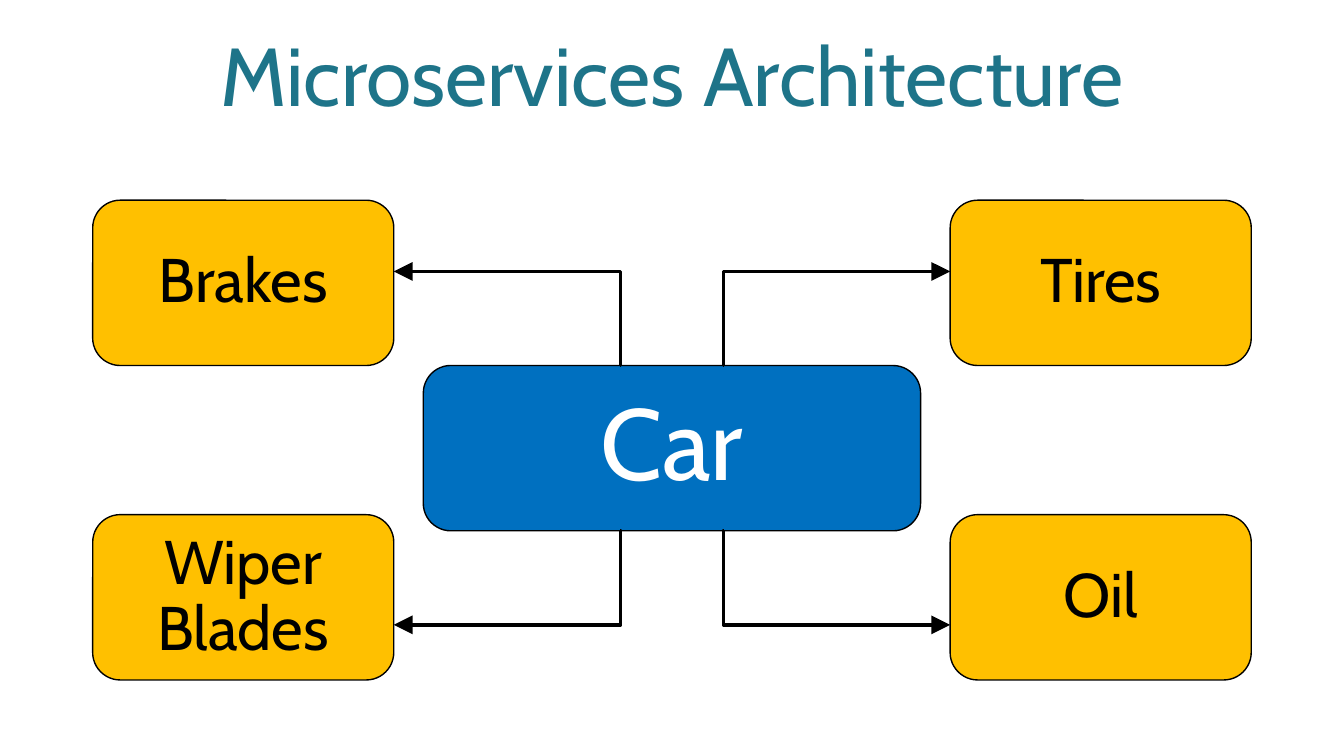
from lxml.etree import SubElement
from pptx import Presentation
from pptx.dml.color import RGBColor
from pptx.enum.shapes import MSO_CONNECTOR, MSO_SHAPE
from pptx.enum.text import MSO_ANCHOR, MSO_AUTO_SIZE, PP_ALIGN
from pptx.oxml.ns import qn
from pptx.util import Inches, Pt

TEAL = RGBColor(0x1E, 0x74, 0x89)
BLUE = RGBColor(0x00, 0x70, 0xC0)
AMBER = RGBColor(0xFF, 0xC0, 0x00)
BLACK = RGBColor(0x00, 0x00, 0x00)
WHITE = RGBColor(0xFF, 0xFF, 0xFF)
FONT = "Cabin"

# All lengths below are in inches.
PAGE_WIDTH = 10
PAGE_HEIGHT = PAGE_WIDTH * 9 / 16
CENTER = PAGE_WIDTH / 2
MARGIN = 0.69
BOX_HEIGHT = 1.23
CAR_WIDTH, CAR_TOP = 3.7, 2.72
CAR_BOTTOM = CAR_TOP + BOX_HEIGHT
PART_WIDTH = 2.24
ARROW_OFFSET, ARROW_RISE = 0.39, 0.7

COLUMNS = {"left": MARGIN, "right": PAGE_WIDTH - MARGIN - PART_WIDTH}
ROWS = {"top": CAR_TOP - BOX_HEIGHT, "bottom": 3.83}
PARTS = [
    ("Tires", "right", "top"),
    ("Brakes", "left", "top"),
    ("Oil", "right", "bottom"),
    ("Wiper Blades", "left", "bottom"),
]


def write_text(frame, text, size, color, side_inset, end_inset):
    frame.word_wrap = True
    frame.auto_size = MSO_AUTO_SIZE.NONE
    frame.vertical_anchor = MSO_ANCHOR.MIDDLE
    frame.margin_left = frame.margin_right = Inches(side_inset)
    frame.margin_top = frame.margin_bottom = Inches(end_inset)
    para = frame.paragraphs[0]
    para.alignment = PP_ALIGN.CENTER
    para.line_spacing = 0.9
    span = para.add_run()
    span.text = text
    span.font.name = FONT
    span.font.size = Pt(size)
    span.font.color.rgb = color


def add_title(page, text):
    title = page.shapes.title
    title.left, title.top = Inches(MARGIN), Inches(0.05)
    title.width, title.height = Inches(PAGE_WIDTH - 2 * MARGIN), Inches(1.09)
    write_text(title.text_frame, text, 44, TEAL, 0.07, 0.04)


def add_box(page, text, left, top, width, fill, size, color):
    box = page.shapes.add_shape(
        MSO_SHAPE.ROUNDED_RECTANGLE,
        Inches(left), Inches(top), Inches(width), Inches(BOX_HEIGHT),
    )
    box.shadow.inherit = False
    box.fill.solid()
    box.fill.fore_color.rgb = fill
    box.line.color.rgb = BLACK
    box.line.width = Pt(0.75)
    write_text(box.text_frame, text, size, color, 0.16, 0.16)


def add_arrow(page, column, row):
    """Draw an elbow from the car to a part, with its head at the part."""
    if column == "left":
        part_x, car_x = MARGIN + PART_WIDTH, CENTER - ARROW_OFFSET
    else:
        part_x, car_x = COLUMNS["right"], CENTER + ARROW_OFFSET
    if row == "top":
        part_y, car_y = CAR_TOP - ARROW_RISE, CAR_TOP
    else:
        part_y, car_y = CAR_BOTTOM + ARROW_RISE, CAR_BOTTOM
    arrow = page.shapes.add_connector(
        MSO_CONNECTOR.ELBOW,
        Inches(part_x), Inches(part_y), Inches(car_x), Inches(car_y),
    )
    arrow.line.color.rgb = BLACK
    arrow.line.width = Pt(2)
    properties = arrow.element.spPr
    SubElement(properties.find(qn("a:ln")), qn("a:headEnd"),
               type="triangle", w="lg", len="lg")
    SubElement(properties, qn("a:effectLst"))
    # Move the bend to the car's end of the elbow.
    guides = properties.find(qn("a:prstGeom")).find(qn("a:avLst"))
    SubElement(guides, qn("a:gd"), name="adj1", fmla="val 100400")


def main():
    deck = Presentation()
    deck.slide_width, deck.slide_height = Inches(PAGE_WIDTH), Inches(PAGE_HEIGHT)
    page = deck.slides.add_slide(deck.slide_layouts.get_by_name("Title Only"))
    add_title(page, "Microservices Architecture")
    add_box(page, "Car", CENTER - CAR_WIDTH / 2, CAR_TOP, CAR_WIDTH, BLUE, 54, WHITE)
    for text, column, row in PARTS:
        add_box(page, text, COLUMNS[column], ROWS[row], PART_WIDTH, AMBER, 33, BLACK)
        add_arrow(page, column, row)
    deck.save("out.pptx")


if __name__ == "__main__":
    main()
